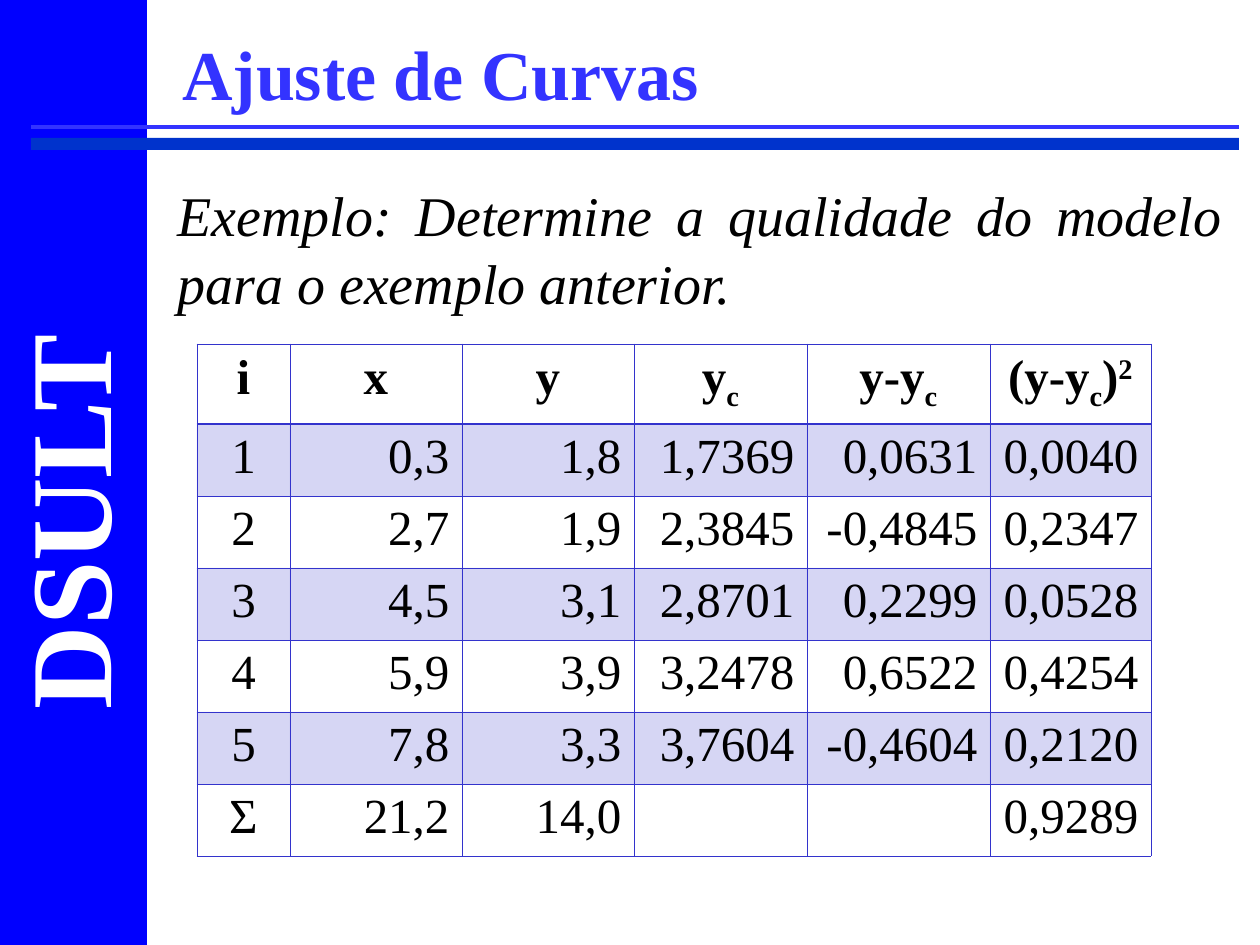
"""Build the curve fitting slide with its table of residuals."""
from lxml import etree
from pptx import Presentation
from pptx.dml.color import RGBColor
from pptx.enum.shapes import MSO_CONNECTOR, MSO_SHAPE
from pptx.enum.text import MSO_ANCHOR, PP_ALIGN
from pptx.oxml.ns import qn
from pptx.util import Pt

RECTANGLE = MSO_SHAPE.RECTANGLE
STRAIGHT = MSO_CONNECTOR.STRAIGHT
MIDDLE = MSO_ANCHOR.MIDDLE
CENTER, RIGHT, JUSTIFY = PP_ALIGN.CENTER, PP_ALIGN.RIGHT, PP_ALIGN.JUSTIFY

PX = 914400 / 126
FONT = "Times New Roman"
COLORS = {
    "sidebar": "0000FF",
    "bar": "0033CC",
    "accent": "3333FF",
    "grid": "3333CC",
    "text": "000000",
    "white": "FFFFFF",
}


def px(*lengths):
    return [round(length * PX) for length in lengths]


def add_run(paragraph, text, size, color, bold=False, italic=False, baseline=0):
    run = paragraph.add_run()
    run.text = text
    run.font.name = FONT
    run.font.size = Pt(size)
    run.font.bold = bold
    run.font.italic = italic
    run.font.color.rgb = RGBColor.from_string(COLORS[color])
    if baseline:
        run._r.get_or_add_rPr().set("baseline", str(baseline * 1000))


prs = Presentation()
prs.slide_width, prs.slide_height = px(1260, 945)
slide = prs.slides.add_slide(prs.slide_layouts[6])
shapes = slide.shapes

for color, bounds in (("sidebar", (0, 0, 147, 945)), ("bar", (31, 138, 1208, 12))):
    band = shapes.add_shape(RECTANGLE, *px(*bounds))
    band.shadow.inherit = False
    band.fill.solid()
    band.fill.fore_color.rgb = RGBColor.from_string(COLORS[color])
    band.line.fill.background()

title_rule = shapes.add_connector(STRAIGHT, *px(31, 127, 1239, 127))
title_rule.line.color.rgb = RGBColor.from_string(COLORS["accent"])
title_rule.line.width = Pt(2.25)
etree.SubElement(title_rule._element.spPr, qn("a:effectLst"))

brand = shapes.add_textbox(*px(-140, 441, 410, 151))
brand.rotation = 270
brand.text_frame.word_wrap = False
add_run(brand.text_frame.paragraphs[0], "DSULT", 66, "white", bold=True)

title = shapes.add_textbox(*px(170, 10, 1070, 126))
title.text_frame.word_wrap = True
title.text_frame.vertical_anchor = MIDDLE
add_run(title.text_frame.paragraphs[0], "Ajuste de Curvas", 40, "accent", bold=True)

exercise = shapes.add_textbox(*px(165, 165, 1070, 745))
exercise.text_frame.word_wrap = True
exercise.text_frame.margin_top = px(16)[0]
statement = exercise.text_frame.paragraphs[0]
statement.alignment = JUSTIFY
add_run(
    statement,
    "Exemplo: Determine a qualidade do modelo para o exemplo anterior.",
    32,
    "text",
    italic=True,
)

headings = [
    [("i", 0)],
    [("x", 0)],
    [("y", 0)],
    [("y", 0), ("c", -25)],
    [("y-y", 0), ("c", -25)],
    [("(y-y", 0), ("c", -25), (")", 0), ("2", 30)],
]
records = [
    ["1", "0,3", "1,8", "1,7369", "0,0631", "0,0040"],
    ["2", "2,7", "1,9", "2,3845", "-0,4845", "0,2347"],
    ["3", "4,5", "3,1", "2,8701", "0,2299", "0,0528"],
    ["4", "5,9", "3,9", "3,2478", "0,6522", "0,4254"],
    ["5", "7,8", "3,3", "3,7604", "-0,4604", "0,2120"],
    ["Σ", "21,2", "14,0", "", "", "0,9289"],
]
rows = [headings] + [[[(value, 0)] for value in record] for record in records]
column_widths = px(93, 172, 172, 173, 183, 161)
row_heights = px(80, *[72] * len(records))

residuals = shapes.add_table(
    len(rows), len(headings), *px(197, 344), sum(column_widths), sum(row_heights)
).table
residuals.first_row = False
residuals.horz_banding = False
for column, width in zip(residuals.columns, column_widths):
    column.width = width
for row, height in zip(residuals.rows, row_heights):
    row.height = height

for r, row_values in enumerate(rows):
    for c, pieces in enumerate(row_values):
        cell = residuals.cell(r, c)
        properties = cell._tc.get_or_add_tcPr()
        for side in ("lnL", "lnR", "lnT", "lnB"):
            below_header = (r, side) in ((0, "lnB"), (1, "lnT"))
            border = etree.SubElement(properties, qn(f"a:{side}"))
            border.set("w", str(Pt(0.96 if below_header else 0.45)))
            border_fill = etree.SubElement(border, qn("a:solidFill"))
            etree.SubElement(border_fill, qn("a:srgbClr")).set("val", COLORS["grid"])
        if r % 2:
            cell.fill.solid()
            cell.fill.fore_color.rgb = RGBColor.from_string(COLORS["grid"])
            tint = properties.find(qn("a:solidFill")).find(qn("a:srgbClr"))
            etree.SubElement(tint, qn("a:alpha")).set("val", "20000")
        else:
            cell.fill.background()
        paragraph = cell.text_frame.paragraphs[0]
        paragraph.alignment = CENTER if r == 0 or c == 0 else RIGHT
        for text, baseline in pieces:
            if text:
                add_run(paragraph, text, 28, "text", bold=r == 0, baseline=baseline)

prs.save("out.pptx")
